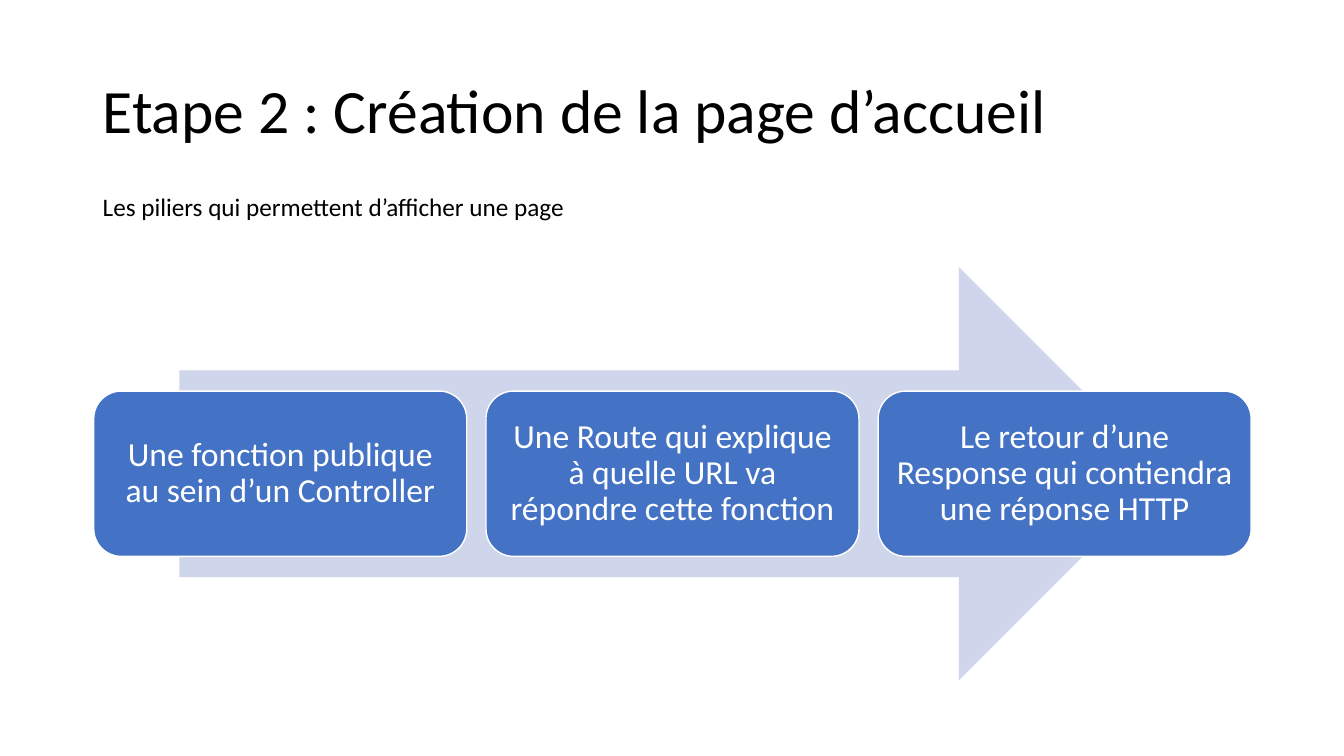
from pptx import Presentation
from pptx import util as u
from pptx.dml.color import RGBColor
from pptx.enum import shapes, text

PX = 9144  # 100 px to the inch
FONT = "Calibri"
BLACK, WHITE, BLUE, PALE_BLUE = "000000", "FFFFFF", "4472C4", "CFD5EA"


def color(hex_code):
    return RGBColor.from_string(hex_code)


def write(shape, words, size, ink, inset=(10, 5), align=text.PP_ALIGN.LEFT,
          anchor=text.MSO_ANCHOR.MIDDLE, spacing=0.9):
    """Fill a shape with one paragraph; inset is (horizontal, vertical) in px."""
    frame = shape.text_frame
    across, down = (PX * side for side in inset)
    frame_format = {"word_wrap": True, "vertical_anchor": anchor,
                    "margin_left": across, "margin_right": across,
                    "margin_top": down, "margin_bottom": down}
    for name, value in frame_format.items():
        setattr(frame, name, value)
    paragraph = frame.paragraphs[0]
    paragraph.alignment, paragraph.line_spacing = align, spacing
    run = paragraph.add_run()
    run.text = words
    for name, value in {"name": FONT, "size": u.Pt(size)}.items():
        setattr(run.font, name, value)
    run.font.color.rgb = color(ink)


deck = Presentation()
deck.slide_width, deck.slide_height = 1333 * PX, 750 * PX
slide = deck.slides.add_slide(deck.slide_layouts[6])

title = slide.shapes.add_textbox(92 * PX, 40 * PX, 1150 * PX, 145 * PX)
write(title, "Etape 2 : Création de la page d’accueil", 44, BLACK)

subtitle = slide.shapes.add_textbox(92 * PX, 185 * PX, 721 * PX, 40 * PX)
write(subtitle, "Les piliers qui permettent d’afficher une page", 18, BLACK,
      anchor=text.MSO_ANCHOR.TOP, spacing=1.0)

arrow = slide.shapes.add_shape(shapes.MSO_SHAPE.RIGHT_ARROW,
                               178 * PX, 265 * PX, 978 * PX, 410 * PX)
arrow.shadow.inherit = False
arrow.fill.solid()
arrow.fill.fore_color.rgb = color(PALE_BLUE)
arrow.line.fill.background()

pillars = [
    "Une fonction publique au sein d’un Controller",
    "Une Route qui explique à quelle URL va répondre cette fonction",
    "Le retour d’une Response qui contiendra une réponse HTTP",
]
PILLAR_LEFT, PILLAR_WIDTH, PILLAR_GAP = 93, 370, 19
for index, words in enumerate(pillars):
    left = PILLAR_LEFT + index * (PILLAR_WIDTH + PILLAR_GAP)
    pillar = slide.shapes.add_shape(shapes.MSO_SHAPE.ROUNDED_RECTANGLE,
                                    left * PX, 388 * PX, PILLAR_WIDTH * PX, 164 * PX)
    pillar.shadow.inherit = False
    pillar.fill.solid()
    pillar.fill.fore_color.rgb = color(BLUE)
    pillar.line.color.rgb = color(WHITE)
    pillar.line.width = u.Pt(1)
    write(pillar, words, 24, WHITE, inset=(10, 10), align=text.PP_ALIGN.CENTER)

deck.save("out.pptx")
